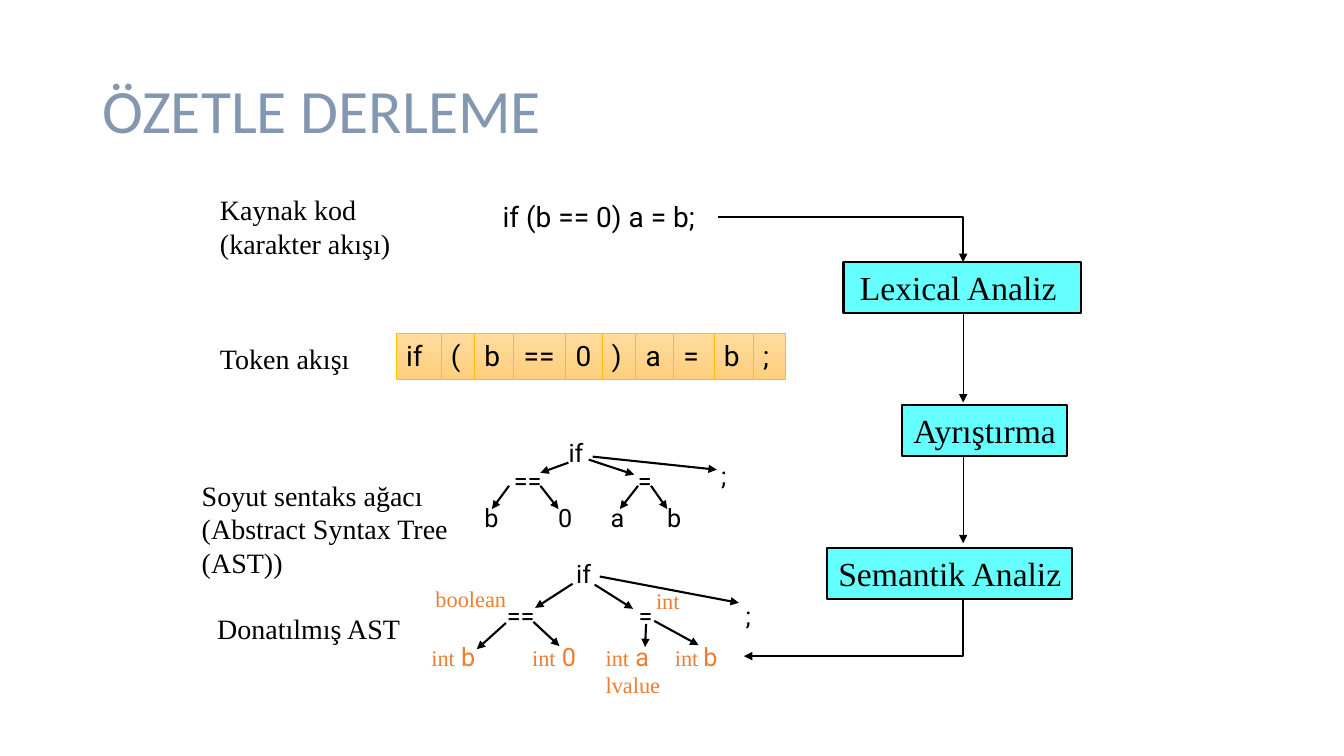
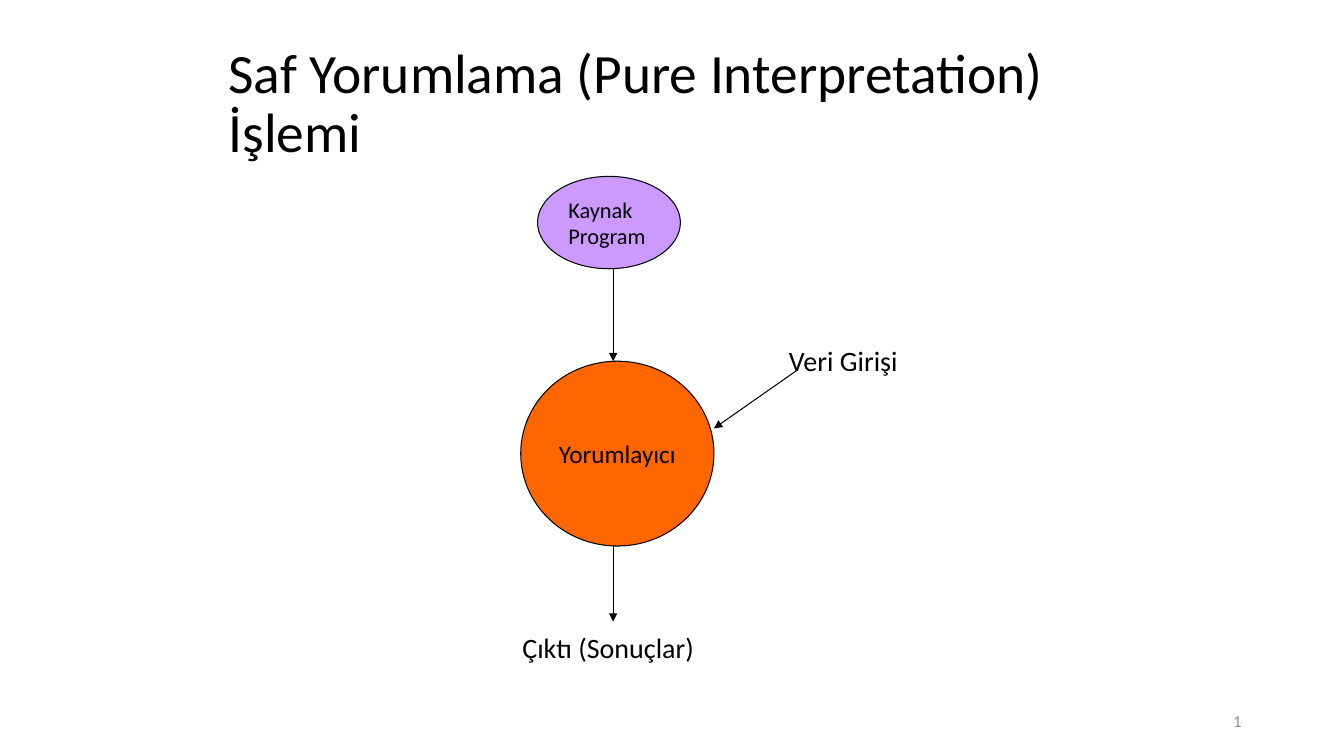
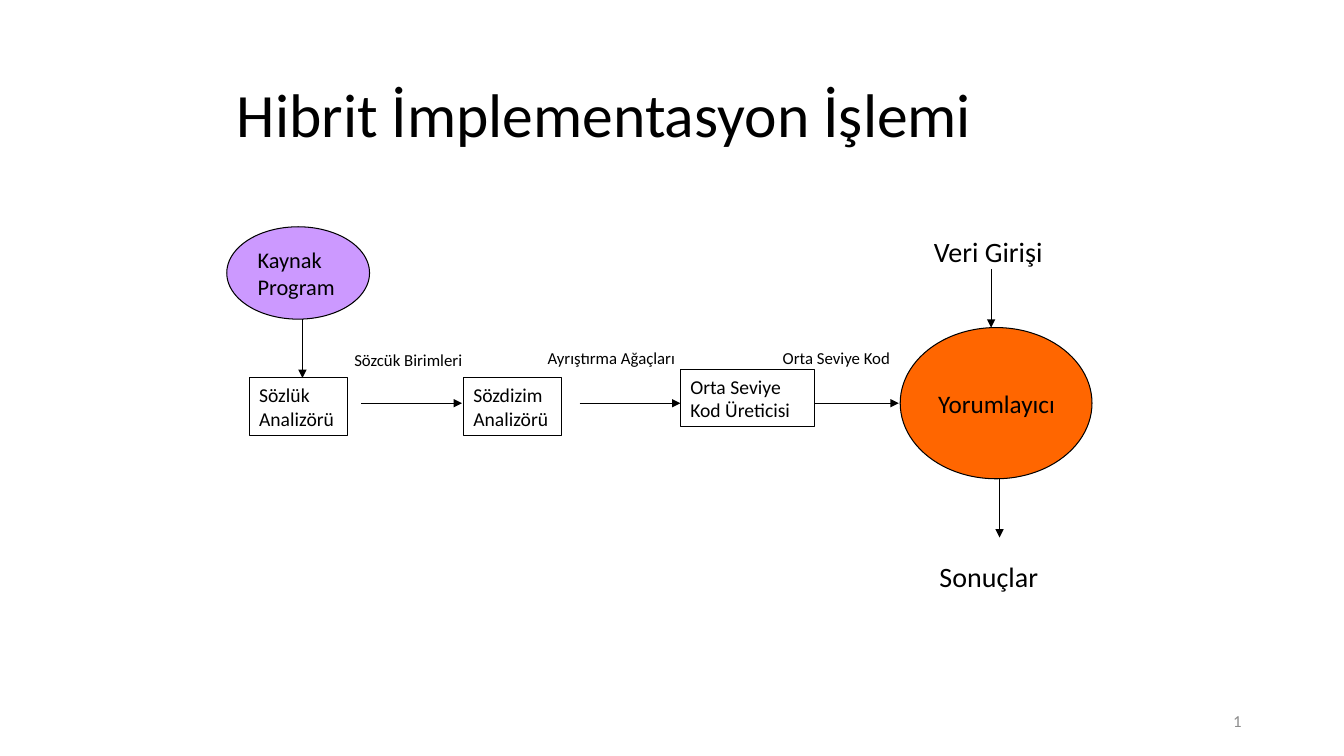
"""Build three slides on compiling, interpreting and hybrid language processing."""
from itertools import accumulate
from lxml import etree
from pptx import Presentation
from pptx.dml.color import RGBColor
from pptx.enum import shapes, text
from pptx.oxml.ns import qn
from pptx.util import Pt

COLORS = {"black": "000000", "slate": "8497B0", "gray": "8C8C8C", "cyan": "66FFFF",
          "violet": "CC99FF", "orange": "FF6600", "rust": "ED7D31", "gold": "FFC000",
          "top": "FFDB9E", "base": "FFD07C"}

STYLES = {
    "label": ("Times New Roman", 20, "black"),
    "stage": ("Times New Roman", 24, "black"),
    "code": ("Roboto", 20, "black"),
    "node": ("Roboto", 18, "black"),
    "type": ("Times New Roman", 16, "rust"),
    "thin": ("Times New Roman", 14, "rust"),
    "leaf": ("Roboto", 18, "rust"),
    "note": ("Calibri", 20, "black"),
    "run": ("Calibri", 18, "black"),
    "source": ("Calibri", 16, "black"),
    "step": ("Calibri", 14, "black"),
    "small": ("Calibri", 12, "black"),
    "page": ("Calibri", 12, "gray"),
}

RECT, OVAL = shapes.MSO_SHAPE.RECTANGLE, shapes.MSO_SHAPE.OVAL
TOP, MID = text.MSO_ANCHOR.TOP, text.MSO_ANCHOR.MIDDLE
LEFT, CENTER, RIGHT = text.PP_ALIGN.LEFT, text.PP_ALIGN.CENTER, text.PP_ALIGN.RIGHT
GROW, FIXED = text.MSO_AUTO_SIZE.SHAPE_TO_FIT_TEXT, text.MSO_AUTO_SIZE.NONE

KINDS = {
    "stage": dict(form=RECT, fill="cyan", edge="black", width=1.5, align=CENTER),
    "token": dict(form=RECT, fill="fade", edge="gold", width=0.5),
    "step": dict(form=RECT, edge="black", width=0.75),
    "source": dict(form=OVAL, fill="violet", edge="black", width=0.75, anchor=MID, size=FIXED),
    "run": dict(form=OVAL, fill="orange", edge="black", width=0.75, anchor=MID, size=FIXED),
    "page": dict(align=RIGHT, anchor=MID, size=FIXED),
    "text": {},
}

TOKENS = [("if", 32), ("(", 24), ("b", 28), ("==", 37), ("0", 26),
          (")", 24), ("a", 27), ("=", 29), ("b", 28), (";", 23)]
STAGES = [("Lexical Analiz ", 602.5, 170), ("Ayrıştırma", 644.5, 117.5),
          ("Semantik Analiz", 591, 175)]
NODES = [("if", 399, 309, 26), ("==", 360, 328.5, 34), ("b", 339, 355.5, 24.5),
         ("0", 391.5, 355.5, 24), ("=", 448.5, 328.5, 24), ("a", 429, 355.5, 24),
         ("b", 469.5, 355.5, 24.5), (";", 508, 325.5, 21),
         ("if", 404.5, 395, 26), ("==", 355, 425, 34), ("=", 449, 425, 24),
         (";", 525.5, 425, 21)]
TYPED = [
    ([[("int", "type"), (" b", "leaf")]], 301, 49, 29),
    ([[("int", "type"), (" 0", "leaf")]], 373, 48, 29),
    ([[("int", "type"), (" a", "leaf")], [("lvalue", "type")]], 425.5, 55.5, 48),
    ([[("int", "type"), (" ", "thin"), ("b", "leaf")]], 475, 47, 29),
]
BRANCHES = [
    (363.6, 347, 351.4, 363.6), (386, 347, 399, 363.6), (406, 330.5, 386, 337.7),
    (420.5, 328.3, 453, 339), (455.8, 347, 442.8, 363.6), (465, 347, 476.6, 363.6),
    (423.4, 326.2, 512, 335.5), (381, 444.2, 399.6, 461.5), (409, 417, 382.3, 434.2),
    (424.8, 417.6, 452.2, 434.9), (361.4, 445, 340.6, 463.7), (461.5, 445.7, 460.8, 462.2),
    (467.3, 443.5, 499, 460.8), (428.4, 411.8, 527.8, 430.6),
]

SLIDES = [
    dict(title=("ÖZETLE DERLEME", 44, "slate"), place=(66, 29, 828, 104), items=[
        ("text", "label", "Kaynak kod\n(karakter akışı)", 150, 134, 137, 55),
        ("text", "label", "Token akışı", 150, 240.5, 108, 32),
        ("text", "label", "Soyut sentaks ağacı\n(Abstract Syntax Tree\n(AST))", 137, 338, 192, 80),
        ("text", "label", "Donatılmış AST", 148, 433, 146, 32),
        ("text", "code", "if (b == 0) a = b;", 352, 139, 161, 31),
        ("text", "type", "boolean", 304, 414.5, 67.5, 27),
        ("text", "type", "int", 461.5, 415.5, 31.5, 27),
    ], arrows=[(688, 224, 688, 287.5), (688, 326, 688, 388)]),
    dict(title=("Saf Yorumlama (Pure Interpretation) İşlemi", 39.6, "black"),
         place=(156, 30, 684, 90), page="1", items=[
        ("source", "source", "Kaynak\nProgram", 384, 126, 102, 66),
        ("run", "run", "Yorumlayıcı", 372, 258, 138, 132),
        ("text", "note", "Veri Girişi", 556.5, 242, 96.5, 31.5),
        ("text", "note", "Çıktı (Sonuçlar)", 366, 446.5, 142.5, 31.5),
    ], arrows=[(438, 192, 438, 258), (570, 264, 510, 306), (438, 390, 438, 444)]),
    dict(title=("Hibrit İmplementasyon İşlemi", 44, "black"),
         place=(162, 24, 630, 120), page="1", items=[
        ("step", "step", "Sözlük\nAnalizörü", 178, 270, 70, 41),
        ("step", "step", "Sözdizim\nAnalizörü", 331, 270, 70, 41),
        ("step*", "step", "Orta Seviye\nKod Üreticisi", 486, 264, 96, 41),
        ("source", "source", "Kaynak\nProgram", 162, 162, 102, 66),
        ("run", "run", "Yorumlayıcı", 643, 234, 137, 108),
        ("text", "note", "Veri Girişi", 660, 164, 96.5, 31.5),
        ("text", "note", "Sonuçlar", 664, 396, 85, 31.5),
        ("text*", "small", "Orta Seviye Kod", 552, 245, 114, 22),
        ("text*", "small", "Ayrıştırma Ağaçları", 384, 245, 126, 22),
        ("text*", "small", "Sözcük Birimleri", 246, 246, 126, 22),
    ], arrows=[(258, 288, 330, 288), (414, 288, 486, 288), (582, 288, 642, 288),
               (216, 228, 216, 270), (714, 342, 714, 384), (708, 192, 708, 234)]),
]


def rgb(name):
    return RGBColor.from_string(COLORS[name])


def assign(thing, **values):
    for key, value in values.items():
        setattr(thing, key, value)


def paint(font, face, size, color):
    assign(font, name=face, size=Pt(size))
    font.color.rgb = rgb(color)


def add_item(slide, kind, style, words, *place):
    look = KINDS[kind.rstrip("*")]
    spot = [Pt(n) for n in place]
    if "form" in look:
        box = slide.shapes.add_shape(look["form"], *spot)
        box.shadow.inherit = False
        box.line.color.rgb, box.line.width = rgb(look["edge"]), Pt(look["width"])
        fill = look.get("fill")
        if fill == "fade":
            box.fill.gradient()
            box.fill.gradient_angle = 270
            for stop, color in zip(box.fill.gradient_stops, ("top", "base")):
                stop.color.rgb = rgb(color)
        elif fill:
            box.fill.solid()
            box.fill.fore_color.rgb = rgb(fill)
        else:
            box.fill.background()
    else:
        box = slide.shapes.add_textbox(*spot)
    frame = box.text_frame
    assign(frame, word_wrap=kind.endswith("*"), auto_size=look.get("size", GROW),
           vertical_anchor=look.get("anchor", TOP))
    lines = words if isinstance(words, list) else [[(s, style)] for s in words.split("\n")]
    for i, line in enumerate(lines):
        para = frame.add_paragraph() if i else frame.paragraphs[0]
        para.alignment = look.get("align", LEFT)
        for part, name in line:
            run = para.add_run()
            run.text = part
            paint(run.font, *STYLES[name])


def add_arrow(slide, ends, width=0.75, bent=False, tip="tailEnd"):
    kind = shapes.MSO_CONNECTOR.ELBOW if bent else shapes.MSO_CONNECTOR.STRAIGHT
    link = slide.shapes.add_connector(kind, *[Pt(n) for n in ends])
    link.line.color.rgb, link.line.width = rgb("black"), Pt(width)
    props = link.element.spPr
    if bent:
        props.find(qn("a:prstGeom")).set("prst", "bentConnector2")
    etree.SubElement(props.find(qn("a:ln")), qn("a:" + tip), type="triangle")
    etree.SubElement(props, qn("a:effectLst"))


def add_title(slide, place, words, size, color):
    title = slide.shapes.title
    assign(title, **dict(zip(("left", "top", "width", "height"), map(Pt, place))))
    frame = title.text_frame
    frame.text = words
    assign(frame, vertical_anchor=MID, word_wrap=True, auto_size=FIXED)
    para = frame.paragraphs[0]
    assign(para, alignment=LEFT, line_spacing=0.9)
    paint(para.runs[0].font, "Calibri", size, color)


def add_summary(slide):
    for i, (name, left, width) in enumerate(STAGES):
        kind = "text" if not name else "stage" + "*" * (i == 0)
        add_item(slide, kind, "stage", name, left, 187.2 + 102.2 * i, width, 36.2)
    lefts = accumulate((w for _, w in TOKENS), initial=283)
    for (sign, width), left in zip(TOKENS, lefts):
        kind = "token" if sign in ("==", "0") else "token*"
        add_item(slide, kind, "code", sign, left, 238.3, width, 32.4)
    for sign, left, top, width in NODES:
        kind = "text*" if sign == "==" else "text"
        add_item(slide, kind, "node", sign, left, top, width, 29)
    for lines, left, width, height in TYPED:
        add_item(slide, "text", "leaf", lines, left, 454.5, width, height)
    for ends in BRANCHES:
        add_arrow(slide, ends, 1.5)
    add_arrow(slide, (512.6, 154.8, 688, 187.2), 1.5, True)
    add_arrow(slide, (531.4, 468.7, 688, 428), 1.5, True, "headEnd")


def main():
    deck = Presentation()
    deck.slide_width, deck.slide_height = Pt(960), Pt(540)
    for data in SLIDES:
        slide = deck.slides.add_slide(deck.slide_layouts[5])
        add_title(slide, data["place"], *data["title"])
        for item in data["items"]:
            add_item(slide, *item)
        for ends in data["arrows"]:
            add_arrow(slide, ends)
        if "page" in data:
            add_item(slide, "page*", "page", data["page"], 678, 500.5, 216, 29)
    add_summary(deck.slides[0])
    deck.save("out.pptx")


if __name__ == "__main__":
    main()
